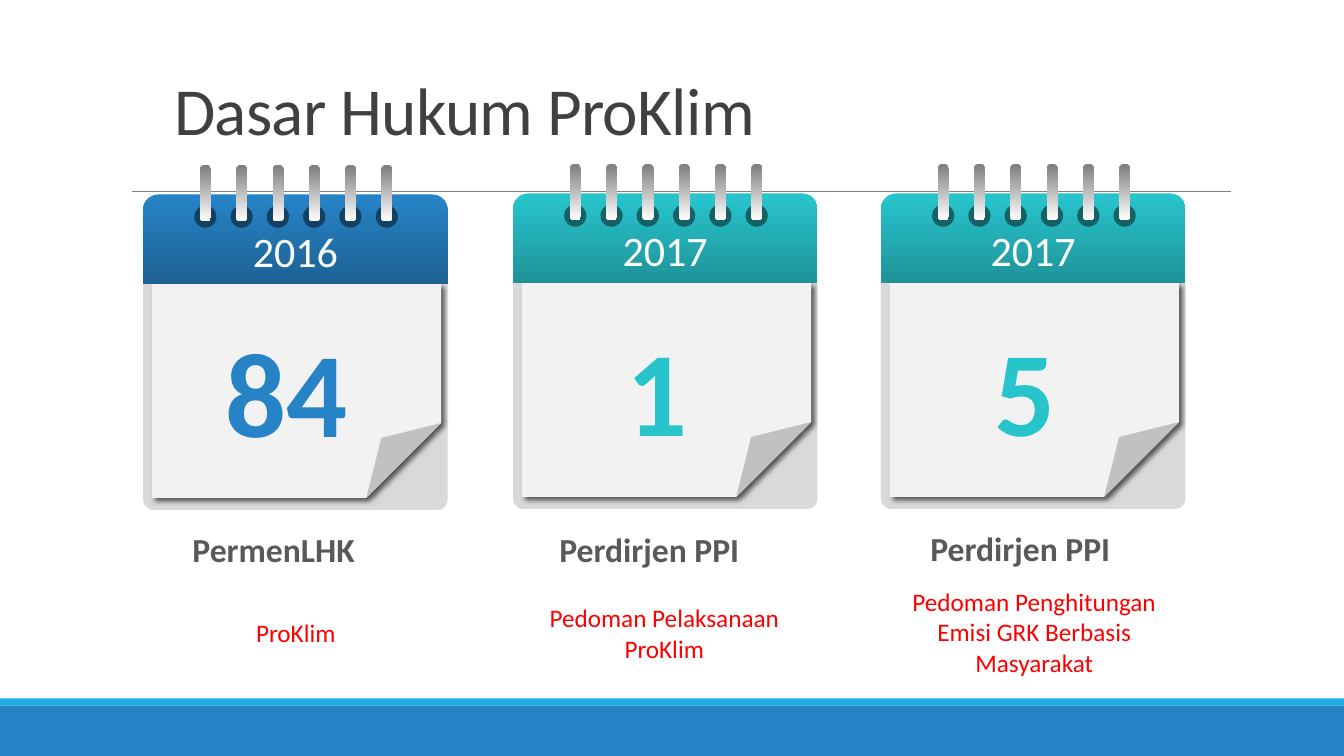
from lxml.etree import SubElement
from pptx import Presentation
from pptx.dml.color import RGBColor
from pptx.enum.shapes import MSO_CONNECTOR, MSO_SHAPE
from pptx.enum.text import MSO_ANCHOR, MSO_AUTO_SIZE, PP_ALIGN
from pptx.oxml.ns import qn
from pptx.util import Inches, Pt

WHITE = RGBColor(0xFF, 0xFF, 0xFF)
BLUE = RGBColor(0x26, 0x83, 0xC6)
DEEP_BLUE = RGBColor(0x1D, 0x62, 0x94)
DARK_BLUE = RGBColor(0x13, 0x41, 0x63)
TEAL = RGBColor(0x28, 0xC4, 0xCC)
DEEP_TEAL = RGBColor(0x1E, 0x93, 0x99)
DARK_TEAL = RGBColor(0x14, 0x62, 0x66)
SKY = RGBColor(0x1C, 0xAD, 0xE4)
GRAY = RGBColor(0x80, 0x80, 0x80)
BACKING = RGBColor(0xD9, 0xD9, 0xD9)
PAPER = RGBColor(0xF2, 0xF2, 0xF2)
TITLE_GRAY = RGBColor(0x40, 0x40, 0x40)
TEXT_GRAY = RGBColor(0x59, 0x59, 0x59)
RED = RGBColor(0xFF, 0x00, 0x00)

BLUES = (BLUE, DEEP_BLUE, DARK_BLUE)
TEALS = (TEAL, DEEP_TEAL, DARK_TEAL)

COLUMNS = 40
RINGS = 6
RING_STEP = 1.08


class Deck:
    font = "Calibri"

    def __init__(self):
        self.prs = Presentation()
        self.prs.slide_width = Inches(13.33)
        self.prs.slide_height = Inches(7.5)
        self.cell = self.prs.slide_width / COLUMNS
        self.slide = self.prs.slides.add_slide(self.prs.slide_layouts[6])
        self.shapes = self.slide.shapes

    def grid(self, *cells):
        return [round(n * self.cell) for n in cells]

    def start_group(self):
        self.shapes = self.slide.shapes.add_group_shape().shapes

    def shape(self, kind, box, *colors, rotation=0):
        sp = self.shapes.add_shape(kind, *self.grid(*box))
        sp.shadow.inherit = False
        sp.line.fill.background()
        sp.rotation = rotation
        if len(colors) == 1:
            sp.fill.solid()
            sp.fill.fore_color.rgb = colors[0]
        else:
            sp.fill.gradient()
            sp.fill.gradient_angle = 270
            for stop, color, position in zip(sp.fill.gradient_stops, colors, (0.02, 1)):
                stop.color.rgb = color
                stop.position = position
        return sp

    def adjust(self, sp, **guides):
        values = sp._element.spPr.find(qn("a:prstGeom")).find(qn("a:avLst"))
        values.clear()
        for name, share in guides.items():
            SubElement(values, qn("a:gd"), name=name, fmla=f"val {round(share * 100000)}")

    def cast_shadow(self, sp):
        effects = sp._element.spPr.find(qn("a:effectLst"))
        shadow = SubElement(effects, qn("a:outerShdw"), blurRad=str(Pt(4)),
                            dist=str(Pt(3)), dir="2700000", algn="tl", rotWithShape="0")
        color = SubElement(shadow, qn("a:srgbClr"), val=str(TITLE_GRAY))
        SubElement(color, qn("a:alpha"), val="85000")

    def rule(self, x1, x2, y, color):
        line = self.shapes.add_connector(MSO_CONNECTOR.STRAIGHT, *self.grid(x1, y, x2, y))
        line.line.color.rgb = color
        line.line.width = Pt(0.5)
        SubElement(line._element.spPr, qn("a:effectLst"))

    def text(self, box, words, size, color, bold=False, align=PP_ALIGN.CENTER,
             insets=(0, 0, 0, 0), wrap=False, anchor=MSO_ANCHOR.MIDDLE, grow=True):
        tf = self.shapes.add_textbox(*self.grid(*box)).text_frame
        tf.margin_left, tf.margin_top, tf.margin_right, tf.margin_bottom = map(Inches, insets)
        tf.word_wrap = wrap
        tf.vertical_anchor = anchor
        tf.auto_size = MSO_AUTO_SIZE.SHAPE_TO_FIT_TEXT if grow else MSO_AUTO_SIZE.NONE
        tf.text = words
        p = tf.paragraphs[0]
        p.alignment = align
        r = p.runs[0]
        r.font.name = self.font
        r.font.size = Pt(size)
        r.font.bold = bold
        r.font.color.rgb = color
        return p

    def title(self, words):
        p = self.text((4.89, 0.42, 31.05, 4.17), words, 48, TITLE_GRAY, align=PP_ALIGN.LEFT,
                      insets=(0.1, 0.05, 0.1, 0.05), wrap=True,
                      anchor=MSO_ANCHOR.BOTTOM, grow=False)
        p.line_spacing = 0.85
        p.runs[0].font._element.set("spc", "-50")

    def calendar(self, x, y, year, number, palette):
        main, deep, dark = palette
        self.start_group()
        self.shape(MSO_SHAPE.ROUND_2_SAME_RECTANGLE, (x, y, 9.06, 2.67), main, deep)
        back = self.shape(MSO_SHAPE.ROUND_2_SAME_RECTANGLE, (x, y + 2.67, 9.06, 6.72),
                          BACKING, rotation=180)
        self.adjust(back, adj1=0.046, adj2=0)
        page = self.shape(MSO_SHAPE.FOLDED_CORNER, (x + 0.26, y + 2.67, 8.61, 6.36), PAPER)
        self.adjust(page, adj=0.35)
        self.cast_shadow(page)
        for i in range(RINGS):
            left = x + 1.52 + i * RING_STEP
            self.shape(MSO_SHAPE.OVAL, (left, y + 0.33, 0.66, 0.66), dark)
            ring = self.shape(MSO_SHAPE.ROUNDED_RECTANGLE,
                              (left + 0.17, y - 0.88, 0.33, 1.68), GRAY, WHITE)
            self.adjust(ring, adj=0.385)
        self.text((x + 3.21, y + 0.92, 2.64, 1.5), year, 30, WHITE)
        width = 2.12 * len(number)
        self.text((x + 4.28 - width / 2, y + 3.64, width, 4.35), number, 86, main, bold=True)

    def caption(self, name_box, name, detail_x, detail_width, detail, lines):
        self.start_group()
        self.text(name_box, name, 24, TEXT_GRAY, bold=True, align=PP_ALIGN.LEFT,
                  insets=(0, 0.05, 0.1, 0.05))
        height = 0.3 + 0.91 * lines
        middle = name_box[1] + 3.24
        self.text((detail_x, middle - height / 2, detail_width, height), detail, 18, RED,
                  insets=(0, 0.05, 0, 0.05), wrap=True)


def main():
    deck = Deck()
    deck.shape(MSO_SHAPE.RECTANGLE, (0, 21, COLUMNS, 1.5), BLUE)
    deck.shape(MSO_SHAPE.RECTANGLE, (0, 20.79, COLUMNS, 0.21), SKY)
    deck.rule(3.93, 36.63, 5.7, GRAY)
    deck.title("Dasar Hukum ProKlim")

    calendars = [
        (4.26, 5.79, "2016", "84", BLUES),
        (15.27, 5.76, "2017", "1", TEALS),
        (26.22, 5.76, "2017", "5", TEALS),
    ]
    captions = [
        ((5.73, 15.6, 5.76, 1.5), "PermenLHK", 5.04, 7.53, "ProKlim", 1),
        ((16.65, 15.6, 6.48, 1.5), "Perdirjen PPI", 15.39, 8.76,
         "Pedoman Pelaksanaan ProKlim", 2),
        ((27.69, 15.57, 6.48, 1.5), "Perdirjen PPI", 26.4, 8.76,
         "Pedoman Penghitungan Emisi GRK Berbasis Masyarakat", 3),
    ]
    for calendar, caption in zip(calendars, captions):
        deck.calendar(*calendar)
        deck.caption(*caption)
    deck.prs.save("out.pptx")


if __name__ == "__main__":
    main()
